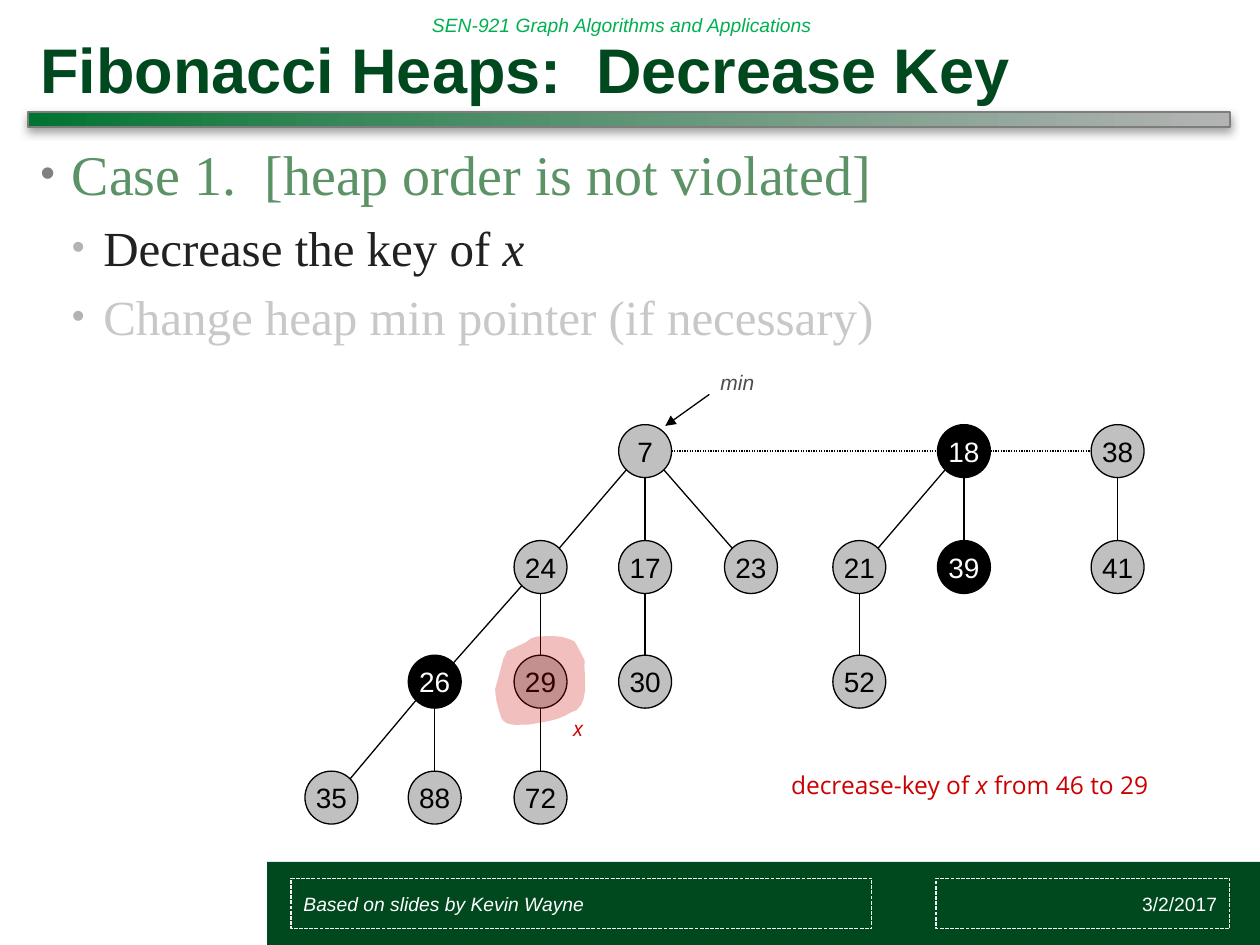
import copy
from dataclasses import dataclass

import pptx
import pptx.dml.color
import pptx.enum.dml
import pptx.enum.shapes
import pptx.enum.text
import pptx.oxml
import pptx.oxml.ns
import pptx.util
from pptx.util import Inches

ALIGN = pptx.enum.text.PP_ALIGN
ANCHOR = pptx.enum.text.MSO_ANCHOR
AUTO_SIZE = pptx.enum.text.MSO_AUTO_SIZE
DASH = pptx.enum.dml.MSO_LINE
SHAPE = pptx.enum.shapes.MSO_SHAPE


@dataclass(frozen=True)
class Theme:
    sans: str = "Arial"
    serif: str = "Times New Roman"
    note_font: str = "Open Sans"
    green: str = "00481E"
    course_green: str = "00B050"
    case_green: str = "5B9266"
    ink: str = "212121"
    faded: str = "C8C8C8"
    black: str = "000000"
    white: str = "FFFFFF"
    node: str = "C0C0C0"
    marked: str = "010000"
    red: str = "CC0000"
    pointer: str = "4D4D4D"
    frame: str = "F2F2F2"
    bar_line: str = "7D7D7D"
    bar_stops: tuple = ((0, "007430"), (0.29, "3C895C"), (1, "B3B3B3"))
    bullets: tuple = ("808080", "B3B3B3")
    title_size: int = 36
    case_size: int = 32
    step_size: int = 28
    node_size: int = 16
    note_size: int = 14
    label_size: int = 12
    small_size: int = 11
    thin: float = 0.75


THEME = Theme()
DIAMETER = 0.42
RADIUS = DIAMETER / 2
COLUMNS = (2.63, 3.45, 4.29, 5.12, 5.96, 6.82, 7.65, 8.87)
ROWS = (3.58, 4.5, 5.41, 6.33)
NODES = {
    "7": (3, 0), "18": (6, 0), "38": (7, 0),
    "24": (2, 1), "17": (3, 1), "23": (4, 1),
    "21": (5, 1), "39": (6, 1), "41": (7, 1),
    "26": (1, 2), "29": (2, 2), "30": (3, 2), "52": (5, 2),
    "35": (0, 3), "88": (1, 3), "72": (2, 3),
}
MARKED = {"18", "39", "26"}
CHILDREN = {
    "7": ("24", "17", "23"), "18": ("21", "39"), "38": ("41",),
    "24": ("26", "29"), "17": ("30",), "21": ("52",),
    "26": ("35", "88"), "29": ("72",),
}
ROOTS = ("7", "18", "38")
HIGHLIGHT_START = (4.02, 5.17)
HIGHLIGHT_CURVES = (
    ((4.07, 5.15), (4.12, 5.12), (4.17, 5.1)),
    ((4.24, 5.05), (4.21, 5.07), (4.27, 5.05)),
    ((4.42, 5.05), (4.45, 5.04), (4.56, 5.09)),
    ((4.59, 5.14), (4.61, 5.18), (4.64, 5.24)),
    ((4.63, 5.36), (4.7, 5.62), (4.52, 5.66)),
    ((4.43, 5.72), (4.31, 5.73), (4.2, 5.75)),
    ((4.11, 5.75), (4.02, 5.77), (3.98, 5.7)),
    ((3.95, 5.6), (3.94, 5.59), (3.93, 5.47)),
    ((3.95, 5.4), (3.97, 5.32), (3.99, 5.25)),
    ((3.99, 5.22), (4.02, 5.2), (4.02, 5.17)),
)


def rgb(value):
    return pptx.dml.color.RGBColor.from_string(value)


def add_xml(parent, tag, **attributes):
    element = pptx.oxml.parse_xml(f"<a:{tag} {pptx.oxml.ns.nsdecls('a')}/>")
    for name, value in attributes.items():
        element.set(name, str(value))
    parent.append(element)
    return element


def write(paragraph, runs, font_name, size, color, bold=False, italic=False, align=ALIGN.LEFT):
    paragraph.alignment = align
    font = paragraph.font
    font.name, font.size, font.bold = font_name, pptx.util.Pt(size), bold
    font.color.rgb = rgb(color)
    if isinstance(runs, str):
        paragraph.add_run().text = runs
        font.italic = italic
        return
    for text, slanted in runs:
        run = paragraph.add_run()
        run.text = text
        run.font.italic = slanted


def place(shape, left, top, width, height):
    shape.left, shape.top = Inches(left), Inches(top)
    shape.width, shape.height = Inches(width), Inches(height)


def add_box(slide, kind, bounds, fill=None, line=None, width=THEME.thin, dash=None):
    shape = slide.shapes.add_shape(kind, *map(Inches, bounds))
    shape.shadow.inherit = False
    if fill:
        shape.fill.solid()
        shape.fill.fore_color.rgb = rgb(fill)
    else:
        shape.fill.background()
    if line:
        shape.line.color.rgb = rgb(line)
        shape.line.width = pptx.util.Pt(width)
        shape.line.dash_style = dash
    else:
        shape.line.fill.background()
    shape.text_frame.vertical_anchor = ANCHOR.MIDDLE
    return shape


def add_label(slide, bounds, runs, *style, wrap=False, **options):
    frame = slide.shapes.add_textbox(*map(Inches, bounds)).text_frame
    frame.word_wrap = wrap
    frame.auto_size = AUTO_SIZE.NONE if wrap else AUTO_SIZE.SHAPE_TO_FIT_TEXT
    frame.vertical_anchor = ANCHOR.MIDDLE if wrap else ANCHOR.TOP
    write(frame.paragraphs[0], runs, *style, **options)


def add_line(slide, start, end, dash=None, arrow=False):
    connector = slide.shapes.add_connector(
        pptx.enum.shapes.MSO_CONNECTOR.STRAIGHT, *map(Inches, (*start, *end)))
    connector.line.color.rgb = rgb(THEME.black)
    connector.line.width = pptx.util.Pt(THEME.thin)
    connector.line.dash_style = dash
    if arrow:
        add_xml(connector.line._get_or_add_ln(), "tailEnd", type="triangle")
    add_xml(connector._element.spPr, "effectLst")


def add_title_bar(slide):
    bar = add_box(slide, SHAPE.RECTANGLE, (0.22, 0.89, 9.54, 0.12), line=THEME.bar_line, width=1)
    bar.fill.gradient()
    bar.fill.gradient_angle = 0
    stop_list = bar._element.spPr.find(".//" + pptx.oxml.ns.qn("a:gsLst"))
    stop_list.insert(1, copy.deepcopy(stop_list[0]))
    for stop, (position, color) in zip(bar.fill.gradient_stops, THEME.bar_stops):
        stop.position = position
        stop.color.rgb = rgb(color)
    effects = bar._element.spPr.find(pptx.oxml.ns.qn("a:effectLst"))
    shadow = add_xml(effects, "outerShdw", blurRad=pptx.util.Pt(5), dist=pptx.util.Pt(2), dir=5400000)
    add_xml(add_xml(shadow, "srgbClr", val="808080"), "alpha", val=75000)


def add_bullet(paragraph, level):
    paragraph.level = level
    properties = paragraph._p.get_or_add_pPr()
    properties.set("marL", str(Inches(0.25 * (level + 1))))
    properties.set("indent", str(Inches(-0.25)))
    add_xml(add_xml(properties, "buClr"), "srgbClr", val=THEME.bullets[level])
    add_xml(properties, "buSzPct", val=75000)
    add_xml(properties, "buFont", typeface=THEME.sans)
    add_xml(properties, "buChar", char="•")


def fill_placeholders(slide):
    title, body = slide.shapes.title, slide.placeholders[1]
    place(title, 0.22, 0.16, 9.54, 0.73)
    place(body, 0.22, 1.01, 9.54, 5.69)
    for shape, anchor in ((title, ANCHOR.BOTTOM), (body, ANCHOR.TOP)):
        shape.text_frame.auto_size = AUTO_SIZE.NONE
        shape.text_frame.vertical_anchor = anchor
    write(title.text_frame.paragraphs[0], "Fibonacci Heaps:  Decrease Key",
          THEME.sans, THEME.title_size, THEME.green, bold=True)
    frame = body.text_frame
    frame.margin_top = Inches(0.1)
    items = (
        (0, "Case 1.  [heap order is not violated]", THEME.case_size, THEME.case_green),
        (1, [("Decrease the key of ", False), ("x", True)], THEME.step_size, THEME.ink),
        (1, "Change heap min pointer (if necessary)", THEME.step_size, THEME.faded),
    )
    for index, (level, runs, size, color) in enumerate(items):
        paragraph = frame.add_paragraph() if index else frame.paragraphs[0]
        add_bullet(paragraph, level)
        paragraph.space_before = pptx.util.Pt(6 if index else 0)
        write(paragraph, runs, THEME.serif, size, color)


def center(key):
    column, row = NODES[key]
    return COLUMNS[column], ROWS[row]


def add_node(slide, key):
    x, y = center(key)
    marked = key in MARKED
    node = add_box(slide, SHAPE.OVAL, (x - RADIUS, y - RADIUS, DIAMETER, DIAMETER),
                   THEME.marked if marked else THEME.node, THEME.black)
    node.text_frame.word_wrap = False
    write(node.text_frame.paragraphs[0], key, THEME.sans, THEME.node_size,
          THEME.white if marked else THEME.black, align=ALIGN.CENTER)


def add_edge(slide, parent, child):
    (x1, y1), (x2, y2) = center(parent), center(child)
    side = (x2 > x1) - (x2 < x1)
    drop = RADIUS * (0.5 ** 0.5 if side else 1)
    shift = side * drop
    add_line(slide, (x1 + shift, y1 + drop), (x2 - shift, y2 - drop))


def add_heap(slide):
    for key in NODES:
        add_node(slide, key)
    for parent, children in CHILDREN.items():
        for child in children:
            add_edge(slide, parent, child)
    for left, right in zip(ROOTS, ROOTS[1:]):
        (x1, y), (x2, _) = center(left), center(right)
        add_line(slide, (x1 + RADIUS, y), (x2 - RADIUS, y), DASH.ROUND_DOT)


def add_highlight(slide, steps=8):
    points = [HIGHLIGHT_START]
    for curve in HIGHLIGHT_CURVES:
        controls = (points[-1], *curve)
        for step in range(1, steps + 1):
            t = step / steps
            weights = ((1 - t) ** 3, 3 * t * (1 - t) ** 2, 3 * t * t * (1 - t), t ** 3)
            points.append(tuple(sum(w * c[axis] for w, c in zip(weights, controls)) for axis in (0, 1)))
    outline = [(Inches(x), Inches(y)) for x, y in points]
    builder = slide.shapes.build_freeform(*outline[0])
    builder.add_line_segments(outline[1:], close=True)
    shape = builder.convert_to_shape()
    shape.shadow.inherit = False
    shape.fill.solid()
    shape.fill.fore_color.rgb = rgb(THEME.red)
    add_xml(shape._element.spPr.find(".//" + pptx.oxml.ns.qn("a:srgbClr")), "alpha", val=25000)
    shape.line.fill.background()


def add_footer_box(slide, left, width, text, **options):
    box = add_box(slide, SHAPE.RECTANGLE, (left, 6.97, width, 0.4), line=THEME.frame, dash=DASH.SQUARE_DOT)
    write(box.text_frame.paragraphs[0], text, THEME.sans, THEME.small_size, THEME.white, **options)


def main():
    presentation = pptx.Presentation()
    presentation.slide_width, presentation.slide_height = Inches(10), Inches(7.5)
    slide = presentation.slides.add_slide(presentation.slide_layouts[1])
    add_box(slide, SHAPE.RECTANGLE, (2.12, 6.84, 7.88, 0.66), THEME.green)
    add_label(slide, (3.33, 0, 4.61, 0.4), "SEN-921 Graph Algorithms and Applications",
              THEME.sans, THEME.small_size, THEME.course_green, wrap=True, italic=True)
    add_title_bar(slide)
    fill_placeholders(slide)
    add_heap(slide)
    add_label(slide, (5.62, 2.88, 0.47, 0.3), "min", THEME.sans, THEME.label_size, THEME.pointer, italic=True)
    add_line(slide, (5.63, 3.13), (5.28, 3.38), arrow=True)
    add_highlight(slide)
    add_label(slide, (4.45, 5.63, 0.29, 0.31), "x", THEME.note_font, THEME.label_size, THEME.red, italic=True)
    add_label(slide, (6.18, 6.06, 3.23, 0.34),
              [("decrease-key of ", False), ("x", True), (" from 46 to 29", False)],
              THEME.note_font, THEME.note_size, THEME.red)
    add_footer_box(slide, 2.31, 4.61, "Based on slides by Kevin Wayne", italic=True)
    add_footer_box(slide, 7.43, 2.33, "3/2/2017", align=ALIGN.RIGHT)
    presentation.save("out.pptx")


if __name__ == "__main__":
    main()
